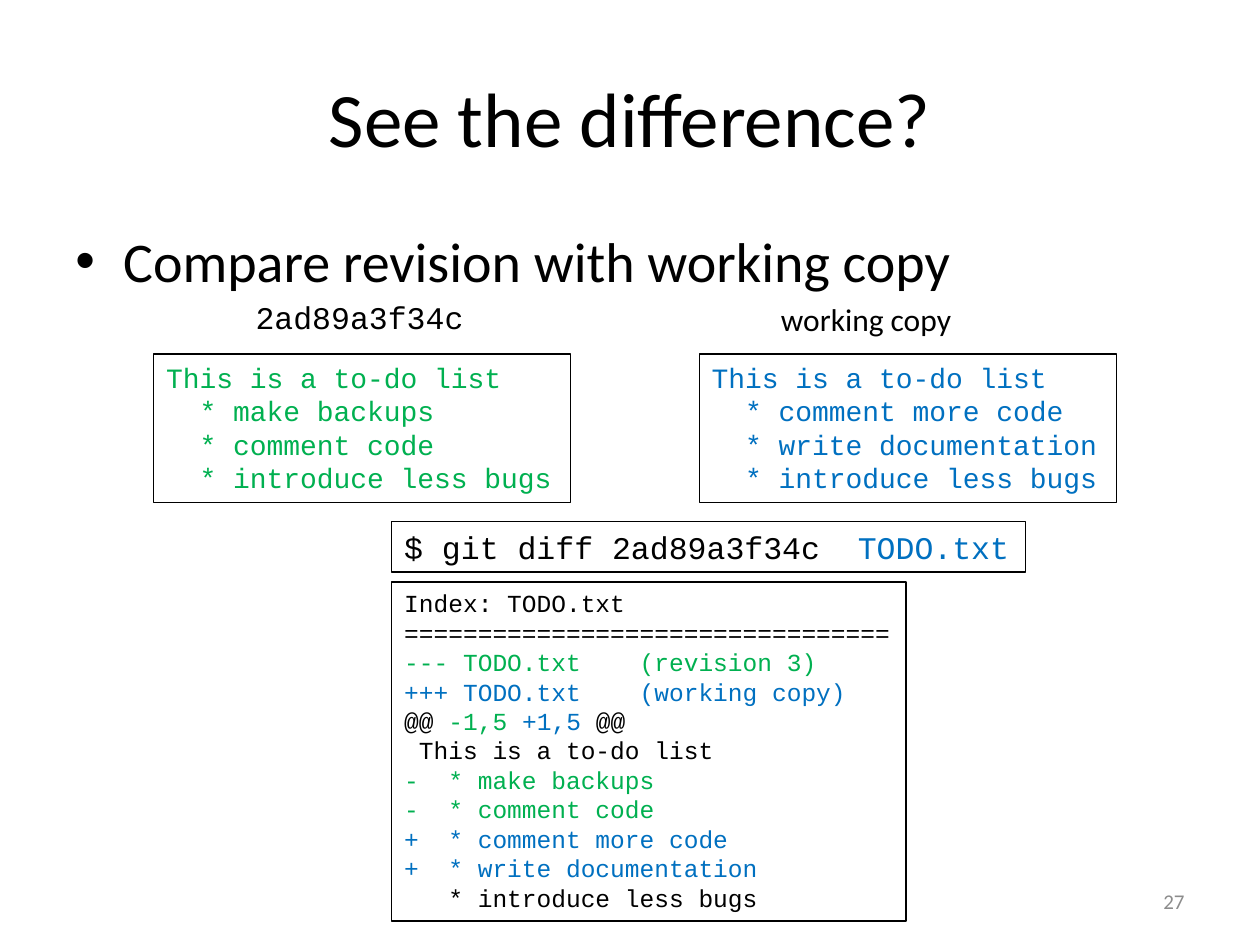
from pptx import Presentation
from pptx.dml.color import RGBColor
from pptx.enum.shapes import MSO_SHAPE
from pptx.enum.text import MSO_ANCHOR, MSO_AUTO_SIZE, PP_ALIGN
from pptx.oxml.ns import qn
from pptx.util import Inches, Pt
from lxml.etree import SubElement

COLORS = {"text": "000000", "old": "00B050", "new": "0070C0", "number": "8C8C8C"}
SANS, MONO = "Calibri", "Courier New"

# Each line is a list of (text, colour) runs
OLD_FILE = [[(line, "old")] for line in (
    "This is a to-do list",
    "  * make backups",
    "  * comment code",
    "  * introduce less bugs",
)]
NEW_FILE = [[(line, "new")] for line in (
    "This is a to-do list",
    "  * comment more code",
    "  * write documentation",
    "  * introduce less bugs",
)]
COMMAND = [[("$ git diff 2ad89a3f34c  ", "text"), ("TODO.txt", "new")]]
DIFF = [
    [("Index: TODO.txt", "text")],
    [("=" * 33, "text")],
    [("--- TODO.txt    (revision 3)", "old")],
    [("+++ TODO.txt    (working copy)", "new")],
    [("@@ ", "text"), ("-1,5 ", "old"), ("+1,5", "new"), (" @@", "text")],
    [(" This is a to-do list", "text")],
    [("-  * make backups", "old")],
    [("-  * comment code", "old")],
    [("+  * comment more code", "new")],
    [("+  * write documentation", "new")],
    [("   * introduce less bugs", "text")],
]


def rgb(name):
    return RGBColor.from_string(COLORS[name])


def style(font, face, size, color):
    font.name, font.size = face, Pt(size)
    font.color.rgb = rgb(color)


def add_label(s, box, text, size, face=SANS, color="text",
              align=PP_ALIGN.LEFT, anchor=MSO_ANCHOR.TOP, wrap=True):
    """Add one line of plain text and return its paragraph."""
    tf = s.shapes.add_textbox(*map(Inches, box)).text_frame
    tf.word_wrap, tf.vertical_anchor = wrap, anchor
    p = tf.paragraphs[0]
    p.text, p.alignment = text, align
    style(p.runs[0].font, face, size, color)
    return p


def add_bullet(p, indent):
    pPr = p._p.get_or_add_pPr()
    pPr.set("marL", str(Inches(indent)))
    pPr.set("indent", str(-Inches(indent)))
    SubElement(pPr, qn("a:buFont"), typeface="Arial")
    SubElement(pPr, qn("a:buChar"), char="•")


def add_code_box(s, box, lines, size):
    """Add an outlined box holding coloured lines of code."""
    sp = s.shapes.add_shape(MSO_SHAPE.RECTANGLE, *map(Inches, box))
    sp.shadow.inherit = False
    sp.fill.background()
    sp.line.color.rgb = rgb("text")
    sp.line.width = Pt(0.75)
    tf = sp.text_frame
    tf.word_wrap, tf.vertical_anchor = False, MSO_ANCHOR.TOP
    tf.auto_size = MSO_AUTO_SIZE.SHAPE_TO_FIT_TEXT
    for i, runs in enumerate(lines):
        p = tf.add_paragraph() if i else tf.paragraphs[0]
        p.alignment = PP_ALIGN.LEFT
        for text, color in runs:
            r = p.add_run()
            r.text = text
            style(r.font, MONO, size, color)


def main():
    prs = Presentation()
    prs.slide_width, prs.slide_height = Inches(10), Inches(7.5)
    s = prs.slides.add_slide(prs.slide_layouts[6])

    # Title and bullet
    add_label(s, (0.5, 0.3, 9, 1.25), "See the difference?", 44,
              align=PP_ALIGN.CENTER, anchor=MSO_ANCHOR.MIDDLE)
    p = add_label(s, (0.5, 1.75, 9, 4.95), "Compare revision with working copy", 32)
    add_bullet(p, 0.38)

    # The two versions of the file
    add_code_box(s, (5.55, 2.81, 3.31, 1.18), NEW_FILE, 16)
    add_code_box(s, (1.22, 2.81, 3.31, 1.18), OLD_FILE, 16)
    add_label(s, (1.93, 2.32, 1.86, 0.4), "2ad89a3f34c", 18, MONO, wrap=False)
    add_label(s, (6.1, 2.33, 1.57, 0.4), "working copy", 18, wrap=False)

    # Command and its output
    add_code_box(s, (3.11, 4.14, 5.03, 0.4), COMMAND, 18)
    add_code_box(s, (3.11, 4.62, 4.08, 2.69), DIFF, 14)

    # Slide number
    add_label(s, (7.17, 6.95, 2.33, 0.4), "27", 12, color="number",
              align=PP_ALIGN.RIGHT, anchor=MSO_ANCHOR.MIDDLE)

    prs.save("out.pptx")


if __name__ == "__main__":
    main()
